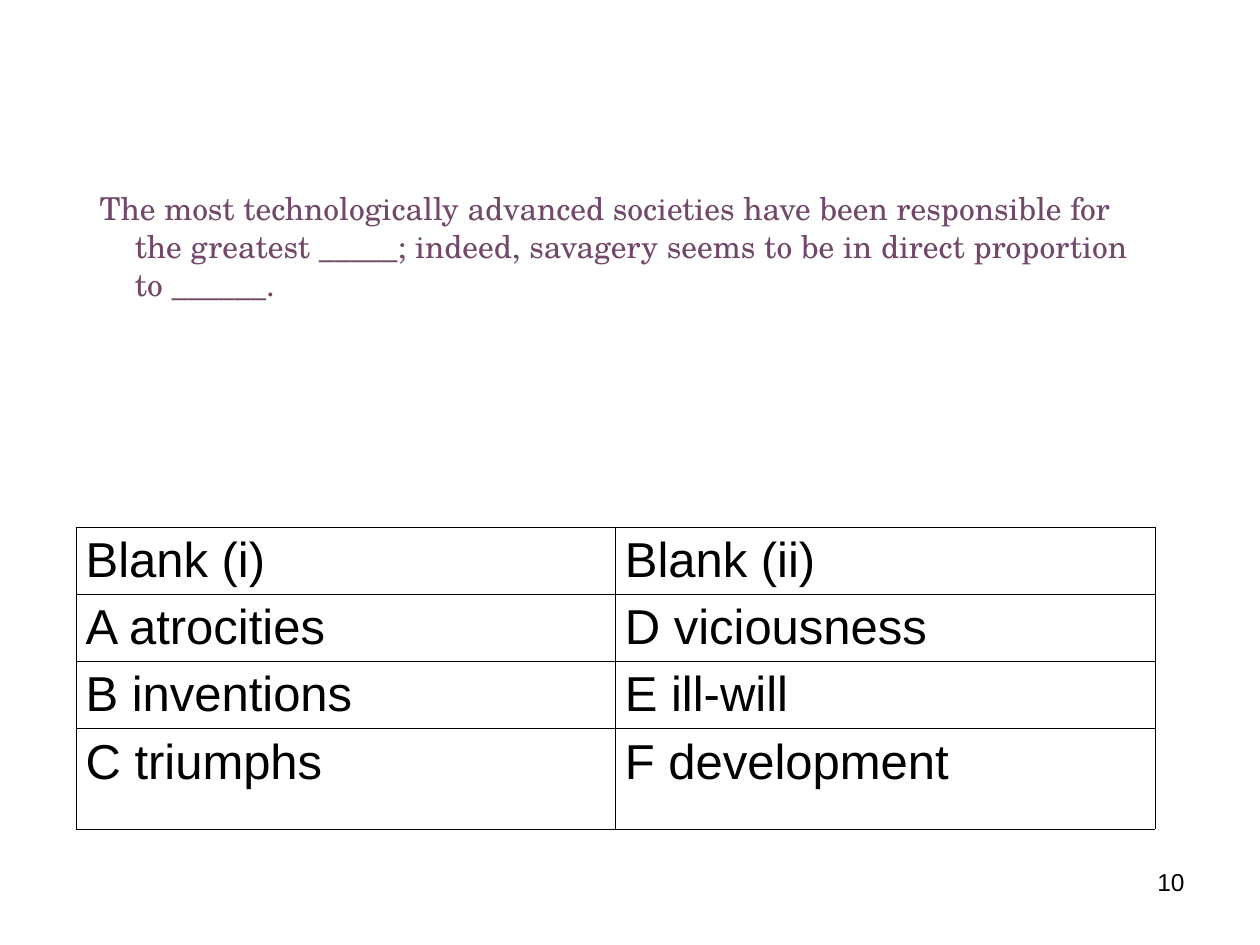
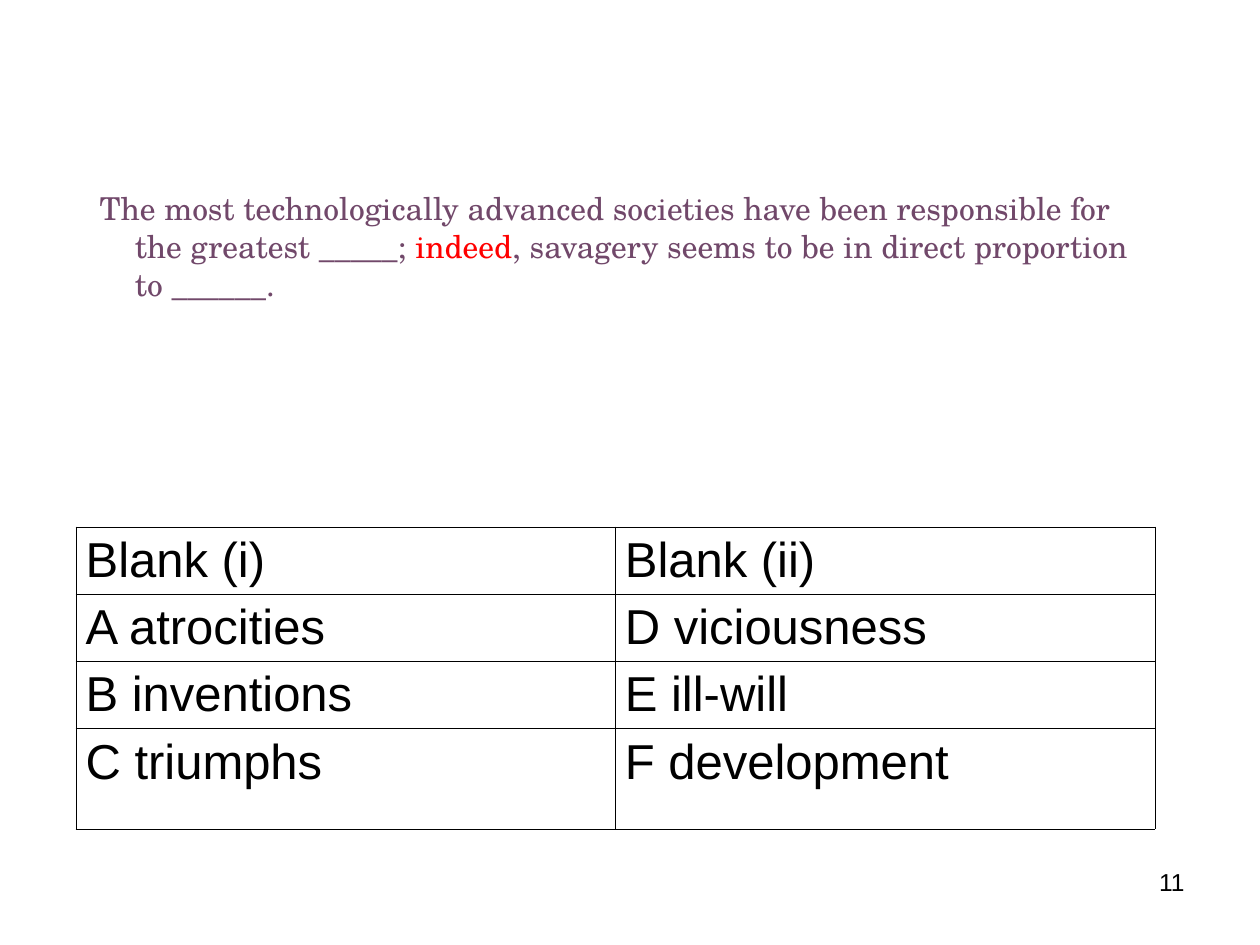
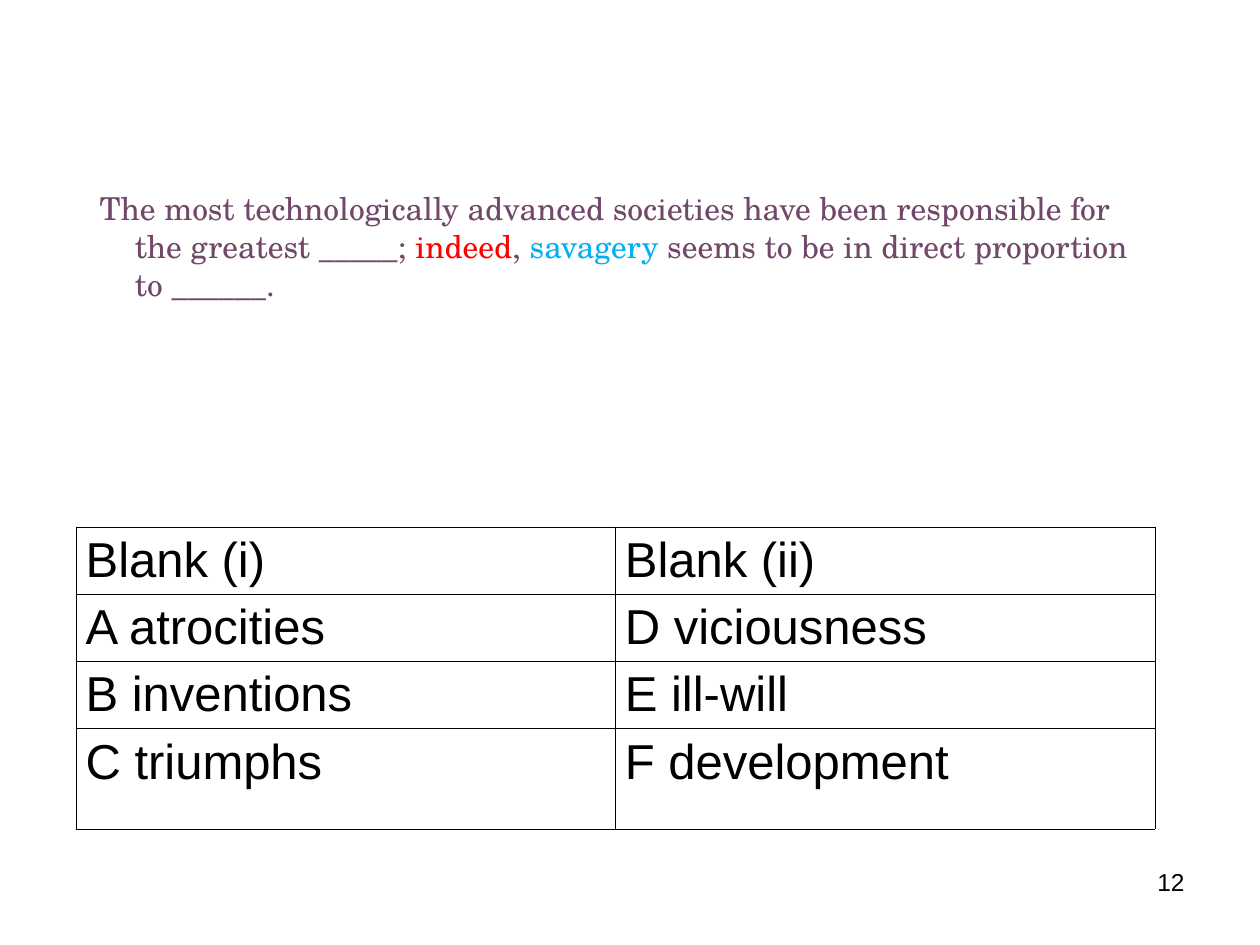
from lxml import etree
from pptx import Presentation
from pptx import util as u
from pptx.dml.color import RGBColor
from pptx.enum import text
from pptx.oxml import ns

COLOURS = {"ink": "000000", "question": "71486A", "signal": "FF0000", "clue": "00B0F0"}
QUESTION_FONT, PLAIN_FONT = "TeX Gyre Schola", "Arial"
FIRST_NUMBER = 10

QUESTION = (
    "The most technologically advanced societies have been responsible for "
    "the greatest _____; indeed, savagery seems to be in direct proportion to ______."
)
ANSWERS = [
    ("Blank (i)", "Blank (ii)"),
    ("A atrocities", "D viciousness"),
    ("B inventions", "E ill-will"),
    ("C triumphs", "F development"),
]
COLUMN_WIDTHS = [4.28, 4.29]
ROW_HEIGHTS = [0.5, 0.53, 0.53, 0.8]

# Words picked out on each slide, in reading order
HIGHLIGHTS = [
    [],
    [("indeed", "signal")],
    [("indeed", "signal"), ("savagery", "clue")],
]


def format_span(span, font, size, colour):
    span.font.name = font
    span.font.size = u.Pt(size)
    span.font.color.rgb = RGBColor.from_string(COLOURS[colour])


def add_borders(cell):
    properties = cell._tc.get_or_add_tcPr()
    for side in ("lnL", "lnR", "lnT", "lnB"):
        line = etree.SubElement(properties, ns.qn(f"a:{side}"), w=str(u.Pt(0.11)))
        fill = etree.SubElement(line, ns.qn("a:solidFill"))
        etree.SubElement(fill, ns.qn("a:srgbClr"), val=COLOURS["ink"])


deck = Presentation()
deck.slide_width, deck.slide_height = u.Inches(10), u.Inches(7.5)

for number, highlights in enumerate(HIGHLIGHTS, start=FIRST_NUMBER):
    page = deck.slides.add_slide(deck.slide_layouts[1])
    title = page.shapes.title
    title.element.getparent().remove(title.element)

    # Question with its highlighted words
    body = page.placeholders[1]
    body.left, body.top = u.Inches(0.59), u.Inches(1.45)
    body.width, body.height = u.Inches(8.74), u.Inches(5.3)
    body.text_frame.auto_size = text.MSO_AUTO_SIZE.NONE
    para = body.text_frame.paragraphs[0]
    para.space_before = u.Pt(18)
    indents = para._p.get_or_add_pPr()
    indents.set("marL", str(u.Inches(0.38)))
    indents.set("indent", str(u.Inches(-0.28)))
    etree.SubElement(indents, ns.qn("a:buNone"))

    spans, rest = [], QUESTION
    for word, colour in highlights:
        before, word, rest = rest.partition(word)
        spans += [(before, "question"), (word, colour)]
    spans.append((rest, "question"))
    for wording, colour in spans:
        span = para.add_run()
        span.text = wording
        format_span(span, QUESTION_FONT, 18, colour)

    # Answer table
    table = page.shapes.add_table(
        len(ROW_HEIGHTS), len(COLUMN_WIDTHS), u.Inches(0.6), u.Inches(4.18),
        u.Inches(sum(COLUMN_WIDTHS)), u.Inches(sum(ROW_HEIGHTS)),
    ).table
    table.first_row = table.horz_banding = False
    for column, width in zip(table.columns, COLUMN_WIDTHS):
        column.width = u.Inches(width)
    for row, height, answers in zip(table.rows, ROW_HEIGHTS, ANSWERS):
        row.height = u.Inches(height)
        for cell, answer in zip(row.cells, answers):
            cell.margin_left = cell.margin_right = u.Inches(0.08)
            cell.margin_top = cell.margin_bottom = u.Inches(0.05)
            add_borders(cell)
            cell.fill.background()
            cell.text_frame.text = answer
            para = cell.text_frame.paragraphs[0]
            para.alignment = text.PP_ALIGN.JUSTIFY
            format_span(para.runs[0], PLAIN_FONT, 28, "ink")

    # Page number
    box = page.shapes.add_textbox(
        u.Inches(7.17), u.Inches(6.83), u.Inches(2.33), u.Inches(0.52))
    box.text_frame.word_wrap = True
    box.text_frame.text = str(number)
    para = box.text_frame.paragraphs[0]
    para.alignment = text.PP_ALIGN.RIGHT
    format_span(para.runs[0], PLAIN_FONT, 14, "ink")

deck.save("out.pptx")
